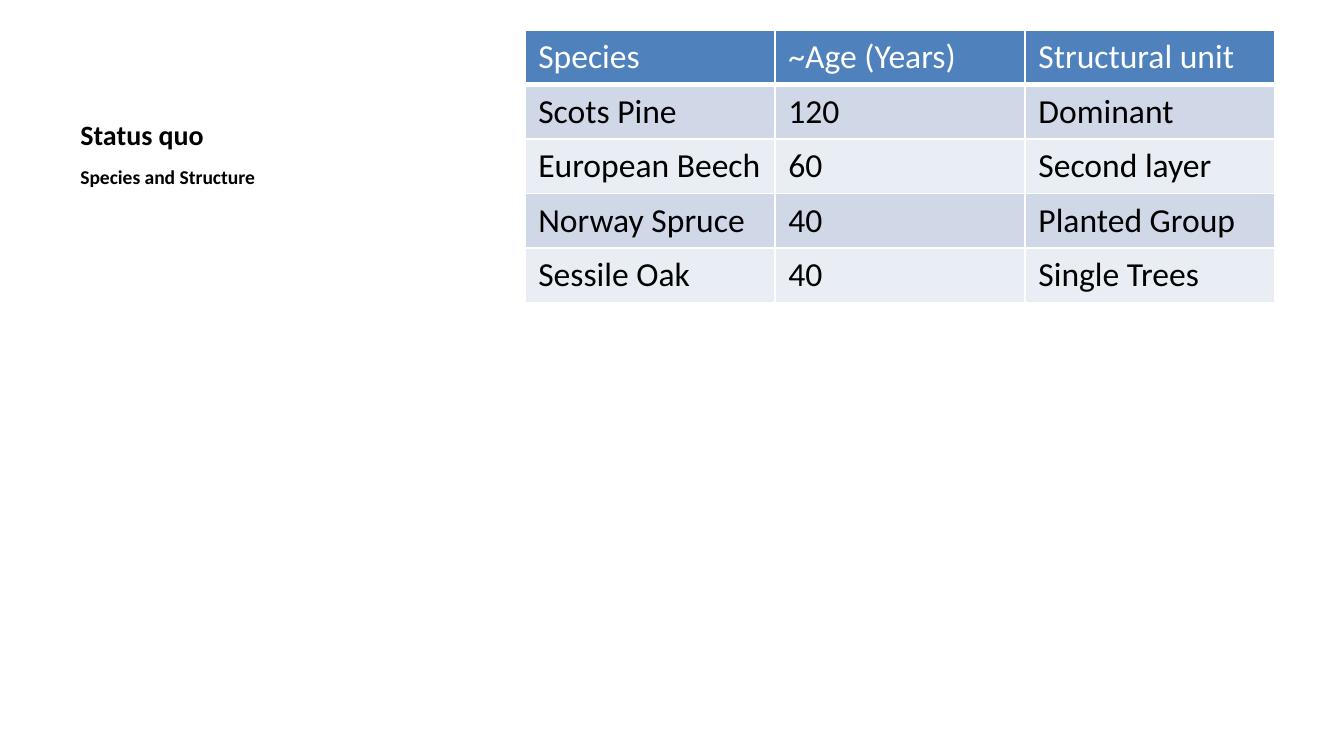
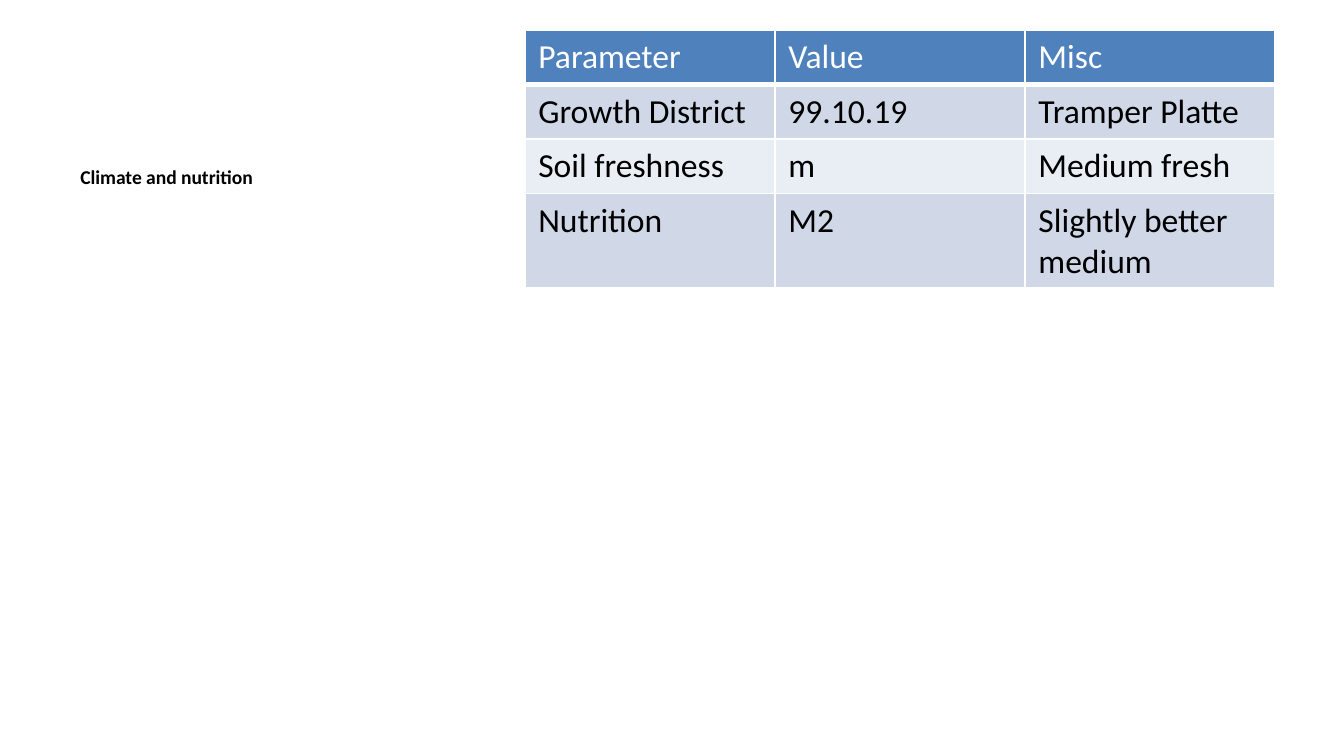
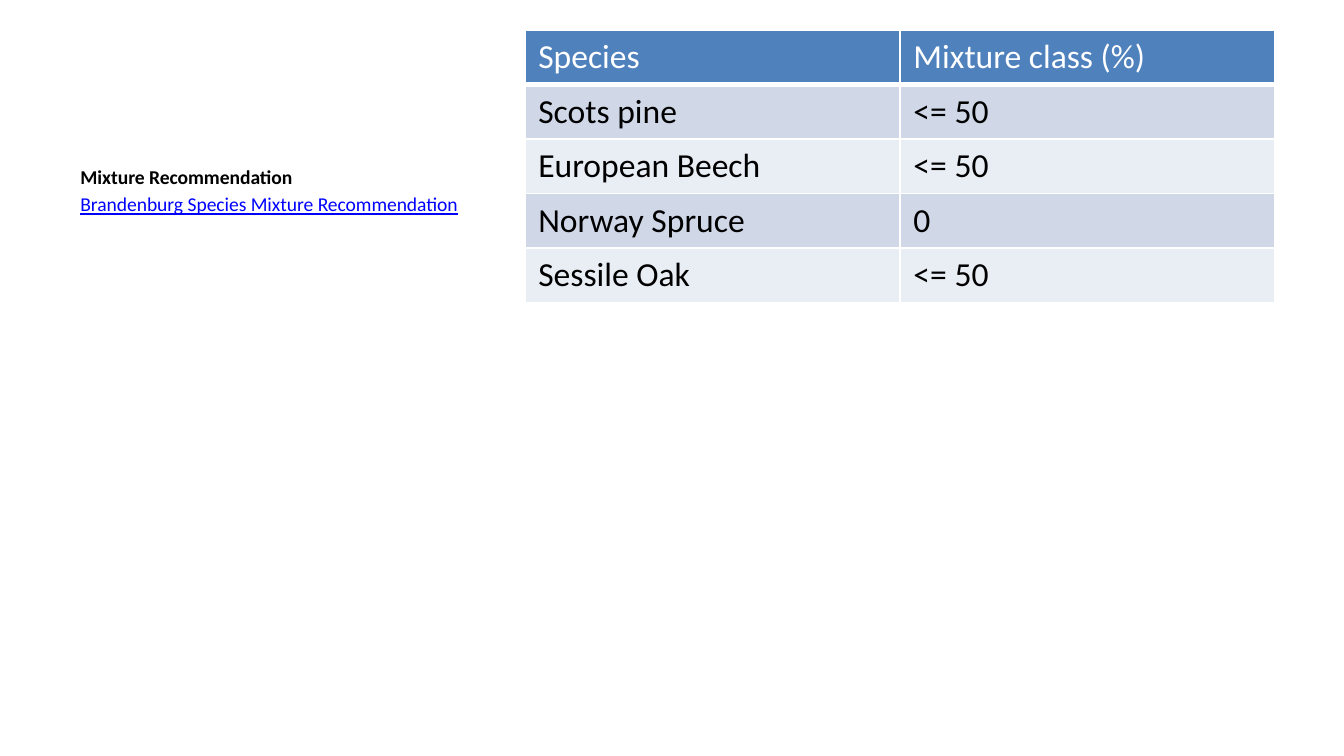
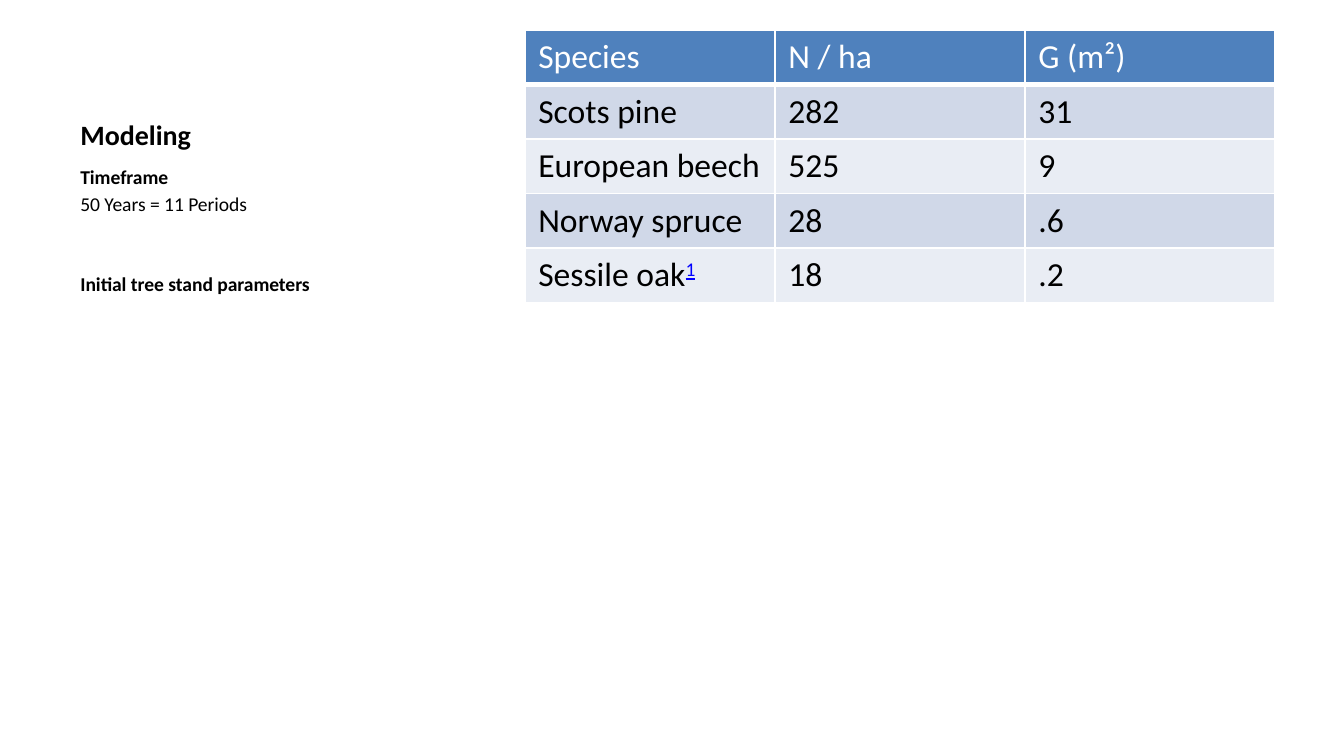
from lxml.etree import SubElement
from pptx import Presentation
from pptx.dml.color import RGBColor
from pptx.enum.text import MSO_ANCHOR
from pptx.oxml.ns import qn
from pptx.util import Cm, Pt

# Each slide: title, sidebar lines as (style, text), table rows with the header first.
SLIDES = [
    {
        "title": "Status quo",
        "sidebar": [("heading", "Species and Structure")],
        "table": [
            ("Species", "~Age (Years)", "Structural unit"),
            ("Scots Pine", "120", "Dominant"),
            ("European Beech", "60", "Second layer"),
            ("Norway Spruce", "40", "Planted Group"),
            ("Sessile Oak", "40", "Single Trees"),
        ],
    },
    {
        "title": None,
        "sidebar": [("heading", "Climate and nutrition")],
        "table": [
            ("Parameter", "Value", "Misc"),
            ("Growth District", "99.10.19", "Tramper Platte"),
            ("Soil freshness", "m", "Medium fresh"),
            ("Nutrition", "M2", "Slightly better medium"),
        ],
    },
    {
        "title": None,
        "sidebar": [
            ("heading", "Mixture Recommendation"),
            ("link", "Brandenburg Species Mixture Recommendation"),
        ],
        "table": [
            ("Species", "Mixture class (%)"),
            ("Scots pine", "<= 50"),
            ("European Beech", "<= 50"),
            ("Norway Spruce", "0"),
            ("Sessile Oak", "<= 50"),
        ],
    },
    {
        "title": "Modeling",
        "sidebar": [
            ("heading", "Timeframe"),
            ("plain", "50 Years = 11 Periods"),
            ("heading", "Initial tree stand parameters"),
        ],
        "table": [
            ("Species", "N / ha", "G (m²)"),
            ("Scots pine", "282", "31"),
            ("European beech", "525", "9"),
            ("Norway spruce", "28", ".6"),
            ("Sessile oak", "18", ".2"),
        ],
        "footnote": (4, 0, "1"),  # row, column, mark
    },
]

BLACK = RGBColor(0x00, 0x00, 0x00)
WHITE = RGBColor(0xFF, 0xFF, 0xFF)
LINK_BLUE = RGBColor(0x00, 0x00, 0xFF)
HEADER_BLUE = RGBColor(0x4F, 0x81, 0xBD)
BANDS = (RGBColor(0xD0, 0xD8, 0xE8), RGBColor(0xE9, 0xED, 0xF4))

FONT = "Calibri"
SIDEBAR_LEFT, SIDEBAR_WIDTH = Cm(1.27), Cm(8.36)
TITLE_TOP, TITLE_HEIGHT = Cm(0.57), Cm(2.42)
BODY_TOP, BODY_HEIGHT = Cm(2.99), Cm(9.77)
TABLE_LEFT, TABLE_TOP, TABLE_WIDTH = Cm(9.92), Cm(0.57), Cm(14.18)
ROW_HEIGHT = Cm(1.03)

# style: (bold, underline, colour, space before)
SIDEBAR_STYLES = {
    "heading": (True, False, BLACK, Pt(30)),
    "plain": (False, False, BLACK, Pt(2)),
    "link": (False, True, LINK_BLUE, Pt(2)),
}


def set_font(font, size, color, bold=False, underline=False):
    font.name = FONT
    font.size = Pt(size)
    font.color.rgb = color
    font.bold = bold
    font.underline = underline


def add_sidebar_box(page, top, height):
    box = page.shapes.add_textbox(SIDEBAR_LEFT, top, SIDEBAR_WIDTH, height)
    box.text_frame.word_wrap = True
    return box.text_frame


def add_title(page, text):
    frame = add_sidebar_box(page, TITLE_TOP, TITLE_HEIGHT)
    frame.vertical_anchor = MSO_ANCHOR.BOTTOM
    para = frame.paragraphs[0]
    para.text = text
    set_font(para.font, 15, BLACK, bold=True)


def add_sidebar(page, lines):
    frame = add_sidebar_box(page, BODY_TOP, BODY_HEIGHT)
    for index, (style, text) in enumerate(lines):
        para = frame.add_paragraph() if index else frame.paragraphs[0]
        para.text = text
        bold, underline, color, para.space_before = SIDEBAR_STYLES[style]
        set_font(para.font, 10.5, color, bold, underline)


def set_borders(cell, bottom_width):
    """Draw white lines on all four sides; they must precede the cell's fill."""
    properties = cell._tc.get_or_add_tcPr()
    for side, width in (("L", 1), ("R", 1), ("T", 1), ("B", bottom_width)):
        line = SubElement(properties, qn(f"a:ln{side}"), w=str(Pt(width)))
        fill = SubElement(line, qn("a:solidFill"))
        SubElement(fill, qn("a:srgbClr"), val=str(WHITE))


def add_table(page, rows):
    frame = page.shapes.add_table(
        len(rows), len(rows[0]), TABLE_LEFT, TABLE_TOP,
        TABLE_WIDTH, ROW_HEIGHT * len(rows))
    table = frame.table
    for row_index, row in enumerate(rows):
        is_header = row_index == 0
        for column_index, text in enumerate(row):
            cell = table.cell(row_index, column_index)
            set_borders(cell, 3 if is_header else 1)
            cell.fill.solid()
            cell.fill.fore_color.rgb = (
                HEADER_BLUE if is_header else BANDS[(row_index - 1) % 2])
            para = cell.text_frame.paragraphs[0]
            para.text = text
            set_font(para.font, 18, WHITE if is_header else BLACK)
    return table


def add_footnote_mark(table, row, column, mark):
    span = table.cell(row, column).text_frame.paragraphs[0].add_run()
    span.text = mark
    set_font(span.font, 18, LINK_BLUE, underline=True)
    span._r.get_or_add_rPr().set("baseline", "30000")


def main():
    deck = Presentation()
    deck.slide_width, deck.slide_height = Cm(25.4), Cm(14.29)
    for content in SLIDES:
        page = deck.slides.add_slide(deck.slide_layouts[6])
        if content["title"]:
            add_title(page, content["title"])
        add_sidebar(page, content["sidebar"])
        table = add_table(page, content["table"])
        if "footnote" in content:
            add_footnote_mark(table, *content["footnote"])
    deck.save("out.pptx")


if __name__ == "__main__":
    main()
